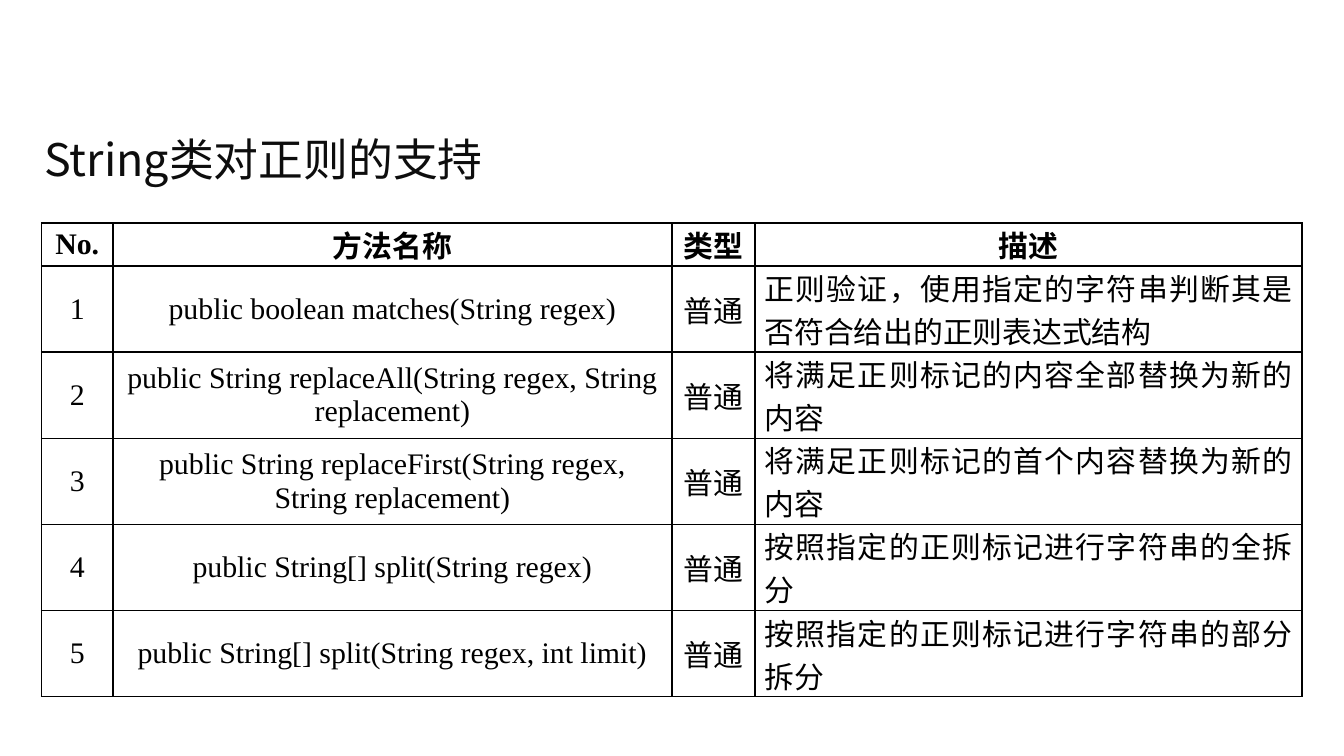
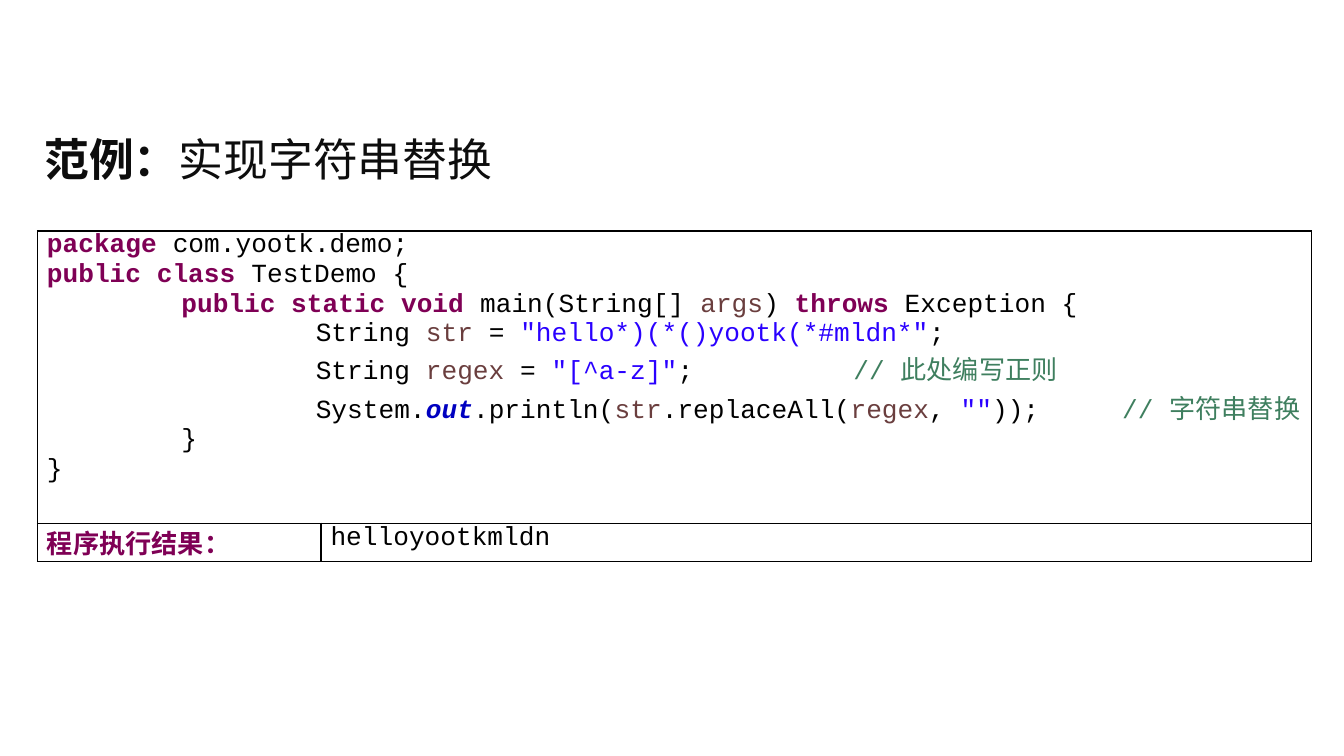
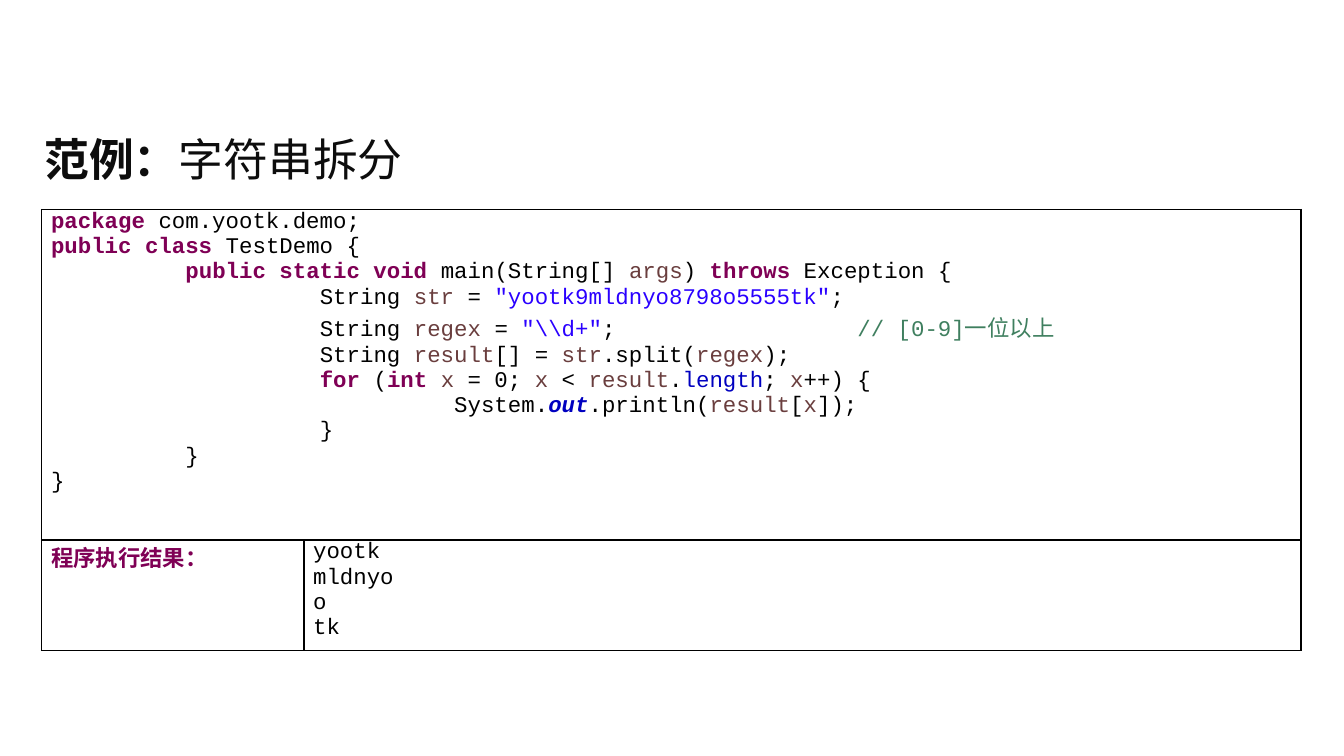
"""Build three slides on the regular expression methods of the String class."""
from dataclasses import dataclass
from functools import partial
from typing import Sequence

from lxml import etree
from pptx import Presentation
from pptx.dml.color import RGBColor
from pptx.enum.text import MSO_ANCHOR as Anchor, MSO_AUTO_SIZE as AutoSize, PP_ALIGN as Align
from pptx.oxml.ns import qn
from pptx.util import Inches, Pt

BLACK = "000000"
TITLE_COLOR = "0D0D0D"
CJK_FONT = "Noto Sans CJK SC"
TABLE_FONT = "Times New Roman"
CODE_FONT = "Courier New"
TAB_STOPS = range(1, 10)


@dataclass(frozen=True)
class Span:
    """A stretch of text with one look."""
    text: str
    color: str = BLACK
    bold: bool = False
    italic: bool = False


Line = Sequence[Span]

plain = Span
keyword = partial(Span, color="7F0055", bold=True)
variable = partial(Span, color="6A3E3E")
string = partial(Span, color="2A00FF")
comment = partial(Span, color="3F7F5F")
member = partial(Span, color="0000C0")
static_member = partial(member, bold=True, italic=True)
title_text = partial(Span, color=TITLE_COLOR)


@dataclass(frozen=True)
class Grid:
    """Place, column widths and row heights of a table, in inches."""
    left: float
    top: float
    columns: Sequence[float]
    rows: Sequence[float]


@dataclass(frozen=True)
class Method:
    """A row of the method table."""
    signature: str
    description: str
    kind: str = "普通"


@dataclass(frozen=True)
class Example:
    """A slide with a program and what it prints."""
    title: str
    grid: Grid
    size: int
    code: Sequence[Line]
    output: Sequence[str]


METHOD_GRID = Grid(0.31, 1.66, (0.53, 4.16, 0.62, 4.07), (0.3,) + (0.53,) * 5)
METHOD_HEADER = ("No.", "方法名称", "类型", "描述")
METHODS = (
    Method("public boolean matches(String regex)", "正则验证，使用指定的字符串判断其是否符合给出的正则表达式结构"),
    Method("public String replaceAll(String regex, String replacement)", "将满足正则标记的内容全部替换为新的内容"),
    Method("public String replaceFirst(String regex, String replacement)", "将满足正则标记的首个内容替换为新的内容"),
    Method("public String[] split(String regex)", "按照指定的正则标记进行字符串的全拆分"),
    Method("public String[] split(String regex, int limit)", "按照指定的正则标记进行字符串的部分拆分"),
)

PROGRAM_START = (
    (keyword("package"), plain(" com.yootk.demo;")),
    (keyword("public class"), plain(" TestDemo {")),
    (plain("\t"), keyword("public static void"), plain(" main(String[] "), variable("args"),
     plain(") "), keyword("throws"), plain(" Exception {")),
)
PROGRAM_END = ((plain("\t}"),), (plain("}"),))


def declare(name: str, value: str, note: str = "") -> Line:
    """Return a line that declares a string variable, with an optional comment."""
    start = (plain("\t\tString "), variable(name), plain(" = "), string(value))
    return start + ((plain("; \t\t"), comment(note)) if note else (plain(";"),))


EXAMPLES = (
    Example(
        "实现字符串替换",
        Grid(0.28, 1.72, (2.11, 7.37), (1.82, 0.28)),
        14,
        (
            declare("str", '"hello*)(*()yootk(*#mldn*"'),
            declare("regex", '"[^a-z]"', "// 此处编写正则"),
            (plain("\t\tSystem."), static_member("out"), plain(".println("), variable("str"),
             plain(".replaceAll("), variable("regex"), plain(", "), string('""'),
             plain("));\t"), comment("// 字符串替换")),
        ),
        ("helloyootkmldn",),
    ),
    Example(
        "字符串拆分",
        Grid(0.31, 1.56, (1.95, 7.42), (2.46, 0.82)),
        12,
        (
            declare("str", '"yootk9mldnyo8798o5555tk"'),
            declare("regex", r'"\\d+"', "// [0-9]一位以上"),
            (plain("\t\tString "), variable("result"), plain("[] = "), variable("str"),
             plain(".split("), variable("regex"), plain(");")),
            (plain("\t\t"), keyword("for"), plain(" ("), keyword("int "), variable("x"),
             plain(" = 0; "), variable("x"), plain(" < "), variable("result"), plain("."),
             member("length"), plain("; "), variable("x"), plain("++) {")),
            (plain("\t\t\tSystem."), static_member("out"), plain(".println("),
             variable("result"), plain("["), variable("x"), plain("]);")),
            (plain("\t\t}"),),
        ),
        ("yootk", "mldnyo", "o", "tk"),
    ),
)


def rgb(color: str) -> RGBColor:
    """Turn a hex string into a colour."""
    return RGBColor.from_string(color)


def add_tab_stops(paragraph) -> None:
    """Put a left tab stop at every inch."""
    tabs = etree.SubElement(paragraph._p.get_or_add_pPr(), qn("a:tabLst"))
    for stop in TAB_STOPS:
        etree.SubElement(tabs, qn("a:tab"), pos=str(Inches(stop)), algn="l")


def write_lines(text_frame, lines: Sequence[Line], font_name: str, size: int,
                alignment: Align = Align.LEFT) -> None:
    """Write one paragraph for each line and one run for each span."""
    for index, line in enumerate(lines):
        paragraph = text_frame.add_paragraph() if index else text_frame.paragraphs[0]
        paragraph.alignment = alignment
        if any("\t" in span.text for span in line):
            add_tab_stops(paragraph)
        for span in line:
            run = paragraph.add_run()
            run.text = span.text
            font = run.font
            font.name, font.size = font_name, Pt(size)
            font.bold, font.italic = span.bold, span.italic
            font.color.rgb = rgb(span.color)
            etree.SubElement(run._r.get_or_add_rPr(), qn("a:ea"), typeface=CJK_FONT)


def add_titled_slide(presentation, title: Line):
    """Add a slide with its title in the shared place and style."""
    slide = presentation.slides.add_slide(presentation.slide_layouts[5])
    shape = slide.shapes.title
    shape.left, shape.top = Inches(0.23), Inches(0.86)
    shape.width, shape.height = Inches(9.53), Inches(0.64)
    shape.text_frame.auto_size = AutoSize.NONE
    shape.text_frame.vertical_anchor = Anchor.MIDDLE
    write_lines(shape.text_frame, [title], CJK_FONT, 24)
    return slide


def format_cell(cell, anchor: Anchor) -> None:
    """Give a cell thin black borders, no fill and narrow margins."""
    properties = cell._tc.get_or_add_tcPr()
    for side in ("L", "R", "T", "B"):
        border = etree.SubElement(properties, qn(f"a:ln{side}"), w=str(Pt(1)))
        fill = etree.SubElement(border, qn("a:solidFill"))
        etree.SubElement(fill, qn("a:srgbClr"), val=BLACK)
    cell.fill.background()
    cell.margin_left = cell.margin_right = Inches(0.07)
    cell.margin_top = cell.margin_bottom = 0
    cell.vertical_anchor = anchor


def add_grid(slide, grid: Grid, anchor: Anchor):
    """Add an empty bordered table."""
    frame = slide.shapes.add_table(
        len(grid.rows), len(grid.columns), Inches(grid.left), Inches(grid.top),
        Inches(sum(grid.columns)), Inches(sum(grid.rows)))
    table = frame.table
    table.first_row = table.horz_banding = False
    for column, width in zip(table.columns, grid.columns):
        column.width = Inches(width)
    for row, height in zip(table.rows, grid.rows):
        row.height = Inches(height)
    for cell in table.iter_cells():
        format_cell(cell, anchor)
    return table


def add_method_slide(presentation) -> None:
    """Add the slide that lists the methods."""
    slide = add_titled_slide(presentation, [title_text("String类对正则的支持")])
    table = add_grid(slide, METHOD_GRID, Anchor.MIDDLE)
    records = [METHOD_HEADER] + [
        (str(number), method.signature, method.kind, method.description)
        for number, method in enumerate(METHODS, 1)]
    for row, record in enumerate(records):
        for column, text in enumerate(record):
            is_description = row > 0 and column == len(record) - 1
            write_lines(table.cell(row, column).text_frame, [[Span(text, bold=row == 0)]],
                        TABLE_FONT, 16, Align.JUSTIFY if is_description else Align.CENTER)


def add_example_slide(presentation, example: Example) -> None:
    """Add a slide with a program above its result."""
    slide = add_titled_slide(
        presentation, [title_text("范例：", bold=True), title_text(example.title)])
    table = add_grid(slide, example.grid, Anchor.TOP)
    table.cell(0, 0).merge(table.cell(0, 1))
    contents = {
        (0, 0): PROGRAM_START + example.code + PROGRAM_END,
        (1, 0): [[keyword("程序执行结果：")]],
        (1, 1): [[plain(text)] for text in example.output],
    }
    for (row, column), lines in contents.items():
        write_lines(table.cell(row, column).text_frame, lines, CODE_FONT, example.size)


def main() -> None:
    """Build and save the presentation."""
    presentation = Presentation()
    presentation.slide_width, presentation.slide_height = Inches(10), Inches(10 * 9 / 16)
    add_method_slide(presentation)
    for example in EXAMPLES:
        add_example_slide(presentation, example)
    presentation.save("out.pptx")


if __name__ == "__main__":
    main()
